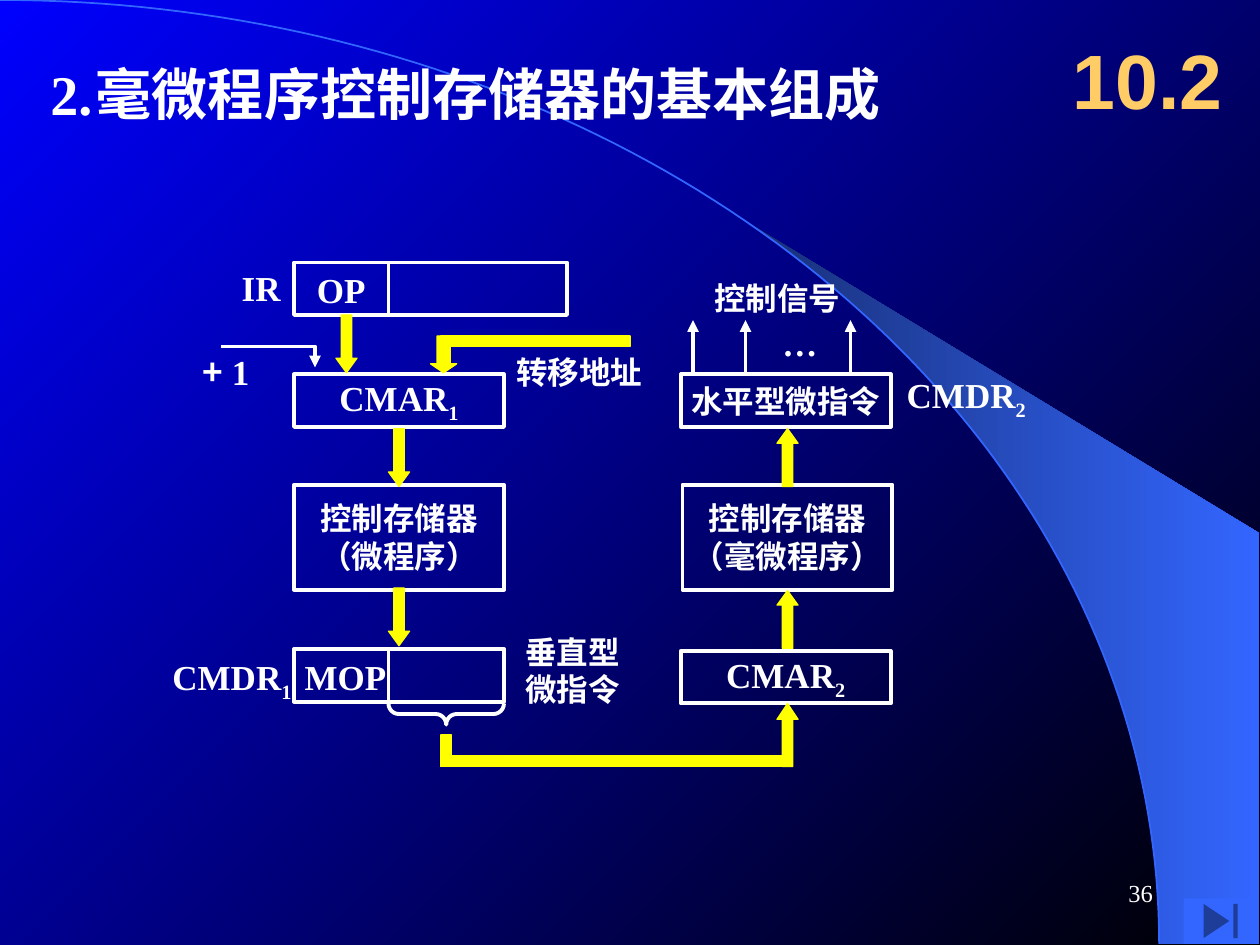
from math import cos, radians, sin

from lxml import etree
from pptx import Presentation
from pptx.dml.color import RGBColor
from pptx.enum.shapes import MSO_CONNECTOR, MSO_SHAPE
from pptx.enum.text import MSO_ANCHOR, MSO_AUTO_SIZE, PP_ALIGN
from pptx.oxml.ns import qn
from pptx.util import Pt

RECT, DOWN_ARROW = MSO_SHAPE.RECTANGLE, MSO_SHAPE.DOWN_ARROW
LEFT, CENTER, RIGHT = PP_ALIGN.LEFT, PP_ALIGN.CENTER, PP_ALIGN.RIGHT
TOP, MIDDLE = MSO_ANCHOR.TOP, MSO_ANCHOR.MIDDLE
COLORS = {"white": "FFFFFF", "yellow": "FFFF00", "gold": "FFCC66", "blue": "3366FF",
          "navy": "182F76", "bg_start": "0000FF", "bg_end": "000000"}
SERIF, SANS, HAN = "Times New Roman", "Arial", "Noto Sans CJK SC"

# Content. A run is (text, size) plus optional font and subscript flag.
TITLE = [[("2.", 32), (" ", 8), ("毫微程序控制存储器的基本组成", 32, "DejaVu Sans")]]
SECTION = [[("10.2", 44, SANS)]]
PAGE = [[("36", 14)]]


def register(name, number):
    return [[(name, 20), (number, 20, SERIF, True)]]


LEFT_COL, RIGHT_COL, BOX_W, BOX_H, STORE_H = 168, 389, 120, 30, 60
IR_Y, CMAR1_Y, STORE_Y, CMDR1_Y, CMAR2_Y = 150, 214, 277, 371, 372
FIELD_X = 222  # divider after the OP and MOP fields
BOXES = [  # left, top, width, height, text
    (LEFT_COL, IR_Y, 156, BOX_H, []),
    (LEFT_COL, CMAR1_Y, BOX_W, BOX_H, register("CMAR", "1")),
    (LEFT_COL, STORE_Y, BOX_W, STORE_H, [[("控制存储器", 18)], [("（微程序）", 18)]]),
    (LEFT_COL, CMDR1_Y, BOX_W, BOX_H, []),
    (RIGHT_COL, CMAR1_Y, BOX_W, BOX_H, [[("水平型微指令", 18)]]),
    (RIGHT_COL + 1, STORE_Y, BOX_W, STORE_H, [[("控制存储器", 18)], [("（毫微程序）", 18)]]),
    (RIGHT_COL, CMAR2_Y, BOX_W, BOX_H, register("CMAR", "2")),
]
LABELS = [  # left, top, width, height, text
    (131, 149, 36.7, 32, [[("IR", 20)]]),
    (174, 150, 42, 32, [[("OP", 20)]]),
    (108.7, 196.5, 41, 32, [[("+", 20, HAN), (" 1", 20)]]),
    (288, 198, 86.4, 29, [[("转移地址", 18)]]),
    (91.4, 371, 82, 34.5, register("CMDR", "1")),
    (167, 371, 61, 32, [[("MOP", 20)]]),
    (293, 358, 68.4, 50.4, [[("垂直型", 18)], [("微指令", 18)]]),
    (401, 156, 86.4, 29, [[("控制信号", 18)]]),
    (440, 180, 34.5, 32, [[("…", 20)]]),
    (511, 210, 82, 34.5, register("CMDR", "2")),
]
BLOCK_ARROWS = [  # left, top, width, height, rotation, head length / width
    (192, 180, 12, 33, 0, 0.69),
    (222, 245, 12, 33, 0, 0.69),
    (222, 336, 12, 33, 0, 0.69),
    (246, 192, 15, 21, 0, 0.34),
    (444, 245, 12, 33, 180, 0.69),
    (444, 337.5, 12, 33, 180, 0.69),
    (444, 402, 12, 36, 180, 0.75),
]
BARS = [(252, 192, 108, 6), (252, 420, 6, 18), (252, 432, 198, 6)]
SIGNAL_XS = (396, 426, 486)


def rgb(name):
    return RGBColor.from_string(COLORS[name])


def style(shape, fill=None, line=None, weight=2.25):
    shape.shadow.inherit = False
    if fill:
        shape.fill.solid()
        shape.fill.fore_color.rgb = rgb(fill)
    else:
        shape.fill.background()
    if line:
        shape.line.color.rgb = rgb(line)
        shape.line.width = Pt(weight)
    else:
        shape.line.fill.background()


def gradient(fill, start, end, angle):
    fill.gradient()
    fill.gradient_angle = angle
    for stop, name, position in zip(fill.gradient_stops, (start, end), (0, 1)):
        stop.color.rgb = rgb(name)
        stop.position = position


def write(shape, paragraphs, align=LEFT, anchor=TOP, wrap=False, color="white", bold=True):
    frame = shape.text_frame
    frame.auto_size = MSO_AUTO_SIZE.NONE
    frame.word_wrap = wrap
    frame.vertical_anchor = anchor
    for i, runs in enumerate(paragraphs):
        para = frame.add_paragraph() if i else frame.paragraphs[0]
        para.alignment = align
        para.space_before = Pt(0)
        for text, size, *extra in runs:
            run = para.add_run()
            run.text = text
            run.font.size = Pt(size)
            run.font.bold = bold
            run.font.color.rgb = rgb(color)
            run.font.name = extra[0] if extra else SERIF
            props = run._r.get_or_add_rPr()
            if ord(text[0]) >= 0x3000:
                etree.SubElement(props, qn("a:ea"), typeface=HAN)
            if len(extra) > 1:
                props.set("baseline", "-25000")


def add_shape(kind, left, top, width, height, **look):
    shape = shapes.add_shape(kind, Pt(left), Pt(top), Pt(width), Pt(height))
    style(shape, **look)
    return shape


def add_label(left, top, width, height, paragraphs, **layout):
    box = shapes.add_textbox(Pt(left), Pt(top), Pt(width), Pt(height))
    write(box, paragraphs, **layout)


def add_outline(points, close):
    points = [(Pt(x), Pt(y)) for x, y in points]
    builder = shapes.build_freeform(*points[0], scale=1.0)
    builder.add_line_segments(points[1:], close=close)
    return builder.convert_to_shape()


def add_head(shape):
    etree.SubElement(shape.line._get_or_add_ln(), qn("a:tailEnd"), type="triangle")


def add_line(x1, y1, x2, y2):
    line = shapes.add_connector(MSO_CONNECTOR.STRAIGHT, Pt(x1), Pt(y1), Pt(x2), Pt(y2))
    line.line.color.rgb = rgb("white")
    line.line.width = Pt(2.25)
    etree.SubElement(line._element.spPr, qn("a:effectLst"))
    return line


def arc(first, last):
    """Points of the quarter ellipse behind the diagram, by degree."""
    angles = [radians(a) for a in range(first, last + 1)]
    return [(662.4 * sin(a), 539.3 * (1 - cos(a))) for a in angles]


prs = Presentation()
prs.slide_width, prs.slide_height = Pt(720), Pt(540)
slide = prs.slides.add_slide(prs.slide_layouts[5])
shapes = slide.shapes

# Background sweep
gradient(slide.background.fill, "bg_start", "bg_end", 315)
wedge = add_outline(arc(40, 90) + [(719.3, 539.3), (719.3, 304.6)], True)
style(wedge)
gradient(wedge.fill, "navy", "blue", 0)
style(add_outline(arc(0, 90), False), line="blue", weight=1)

# Title, in front of the sweep
title = shapes.title
title.left, title.top, title.width, title.height = Pt(21.6), Pt(30.2), Pt(578), Pt(46)
write(title, TITLE, wrap=True)
shapes._spTree.append(title._element)

# Registers and stores
for left, top, width, height, text in BOXES:
    box = add_shape(RECT, left, top, width, height, line="white")
    write(box, text, CENTER, MIDDLE)
for top in (IR_Y, CMDR1_Y):
    add_line(FIELD_X, top, FIELD_X, top + BOX_H)

# Data paths
for left, top, width, height, rotation, head in BLOCK_ARROWS:
    arrow = add_shape(DOWN_ARROW, left, top, width, height,
                      fill="yellow", line="yellow", weight=0.75)
    arrow.rotation = rotation
    arrow.adjustments[1] = head
for bar in BARS:
    add_shape(RECT, *bar, fill="yellow", line="yellow", weight=0.75)

# Control signals, increment and operand brace
for x in SIGNAL_XS:
    add_head(add_line(x, 213, x, 183))
increment = add_outline([(126, 198), (180, 198), (180, 210)], False)
style(increment, line="white")
add_head(increment)
brace = add_shape(MSO_SHAPE.LEFT_BRACE, 249, 375, 12, 66, line="white")
brace.rotation = 270
brace.adjustments[0] = 0.5

for label in LABELS:
    add_label(*label)

# Section number, page number and button
add_label(606, 12, 114, 66, SECTION, anchor=MIDDLE, wrap=True, color="gold")
add_label(516, 492, 150, 36, PAGE, align=RIGHT, anchor=MIDDLE, wrap=True, bold=False)
add_shape(MSO_SHAPE.ACTION_BUTTON_END, 676.3, 513.3, 42.5, 26, fill="blue")

prs.save("out.pptx")
